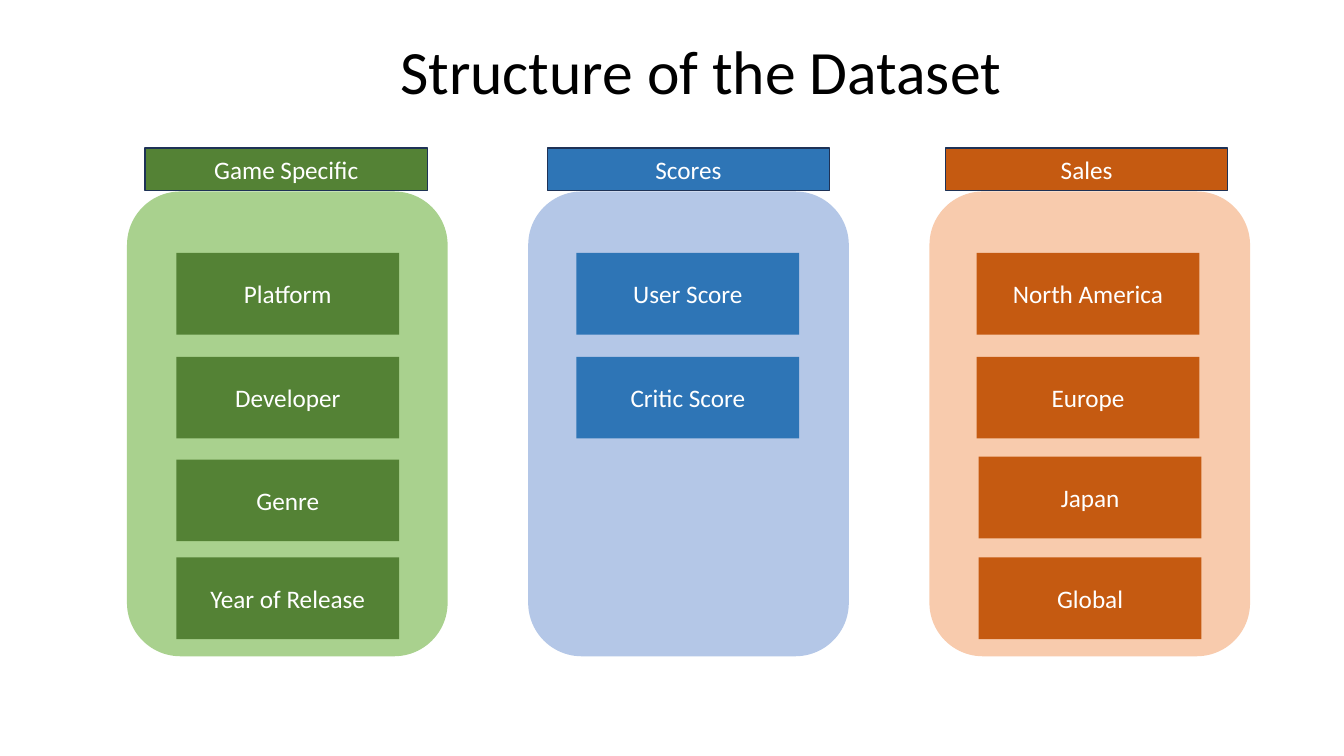
from pptx import Presentation
from pptx.dml.color import RGBColor
from pptx.enum import shapes, text
from pptx.util import Pt


def rgb(value):
    return RGBColor.from_string(value)


class Deck:
    font = "Calibri"
    border = "1E3256"

    def __init__(self, prs):
        self.s = prs.slides.add_slide(prs.slide_layouts[6])

    def set_words(self, sp, words, size, color, anchor):
        tf = sp.text_frame
        tf.word_wrap = True
        tf.vertical_anchor = anchor
        tf.text = words
        p = tf.paragraphs[0]
        p.alignment = text.PP_ALIGN.CENTER
        r = p.runs[0]
        r.font.name = self.font
        r.font.size = Pt(size)
        r.font.color.rgb = rgb(color)
        return p

    def title(self, words, *box):
        sp = self.s.shapes.add_textbox(*map(Pt, box))
        p = self.set_words(sp, words, 44, "000000", text.MSO_ANCHOR.BOTTOM)
        p.line_spacing = 0.9

    def shape(self, kind, fill, *box):
        sp = self.s.shapes.add_shape(kind, *map(Pt, box))
        sp.shadow.inherit = False
        sp.fill.solid()
        sp.fill.fore_color.rgb = rgb(fill)
        sp.line.fill.background()
        return sp

    def panel(self, fill, *box):
        self.shape(shapes.MSO_SHAPE.ROUNDED_RECTANGLE, fill, *box)

    def label(self, words, fill, *box):
        sp = self.shape(shapes.MSO_SHAPE.RECTANGLE, fill, *box)
        self.set_words(sp, words, 18, "FFFFFF", text.MSO_ANCHOR.MIDDLE)
        return sp

    def header(self, words, fill, *box):
        sp = self.label(words, fill, *box)
        sp.line.color.rgb = rgb(self.border)
        sp.line.width = Pt(1)


GROUPS = [
    ("Game Specific", "548235", "A9D18E", 103.7,
     ["Platform", "Developer", "Genre", "Year of Release"]),
    ("Scores", "2E75B6", "B4C7E7", 391, ["User Score", "Critic Score"]),
    ("Sales", "C55A11", "F8CBAD", 675.4,
     ["North America", "Europe", "Japan", "Global"]),
]
ROW_TOPS = [180.7, 254.9, 328.3, 398.2]
NUDGES = {"Japan": (1.5, -2.1), "Global": (1.5, 0)}


def main():
    prs = Presentation()
    prs.slide_width, prs.slide_height = Pt(960), Pt(540)
    deck = Deck(prs)
    deck.title("Structure of the Dataset", 179.3, 10.1, 643, 70.6)
    for i, (name, dark, light, header_left, fields) in enumerate(GROUPS):
        deck.panel(light, 90.7 + i * 286.6, 136.8, 229, 332)
        deck.header(name, dark, header_left, 105.8, 201.6, 30.2)
        for field, top in zip(fields, ROW_TOPS):
            dx, dy = NUDGES.get(field, (0, 0))
            deck.label(field, dark, 126 + i * 285.8 + dx, top + dy, 159.1, 58.3)
    prs.save("out.pptx")


if __name__ == "__main__":
    main()
